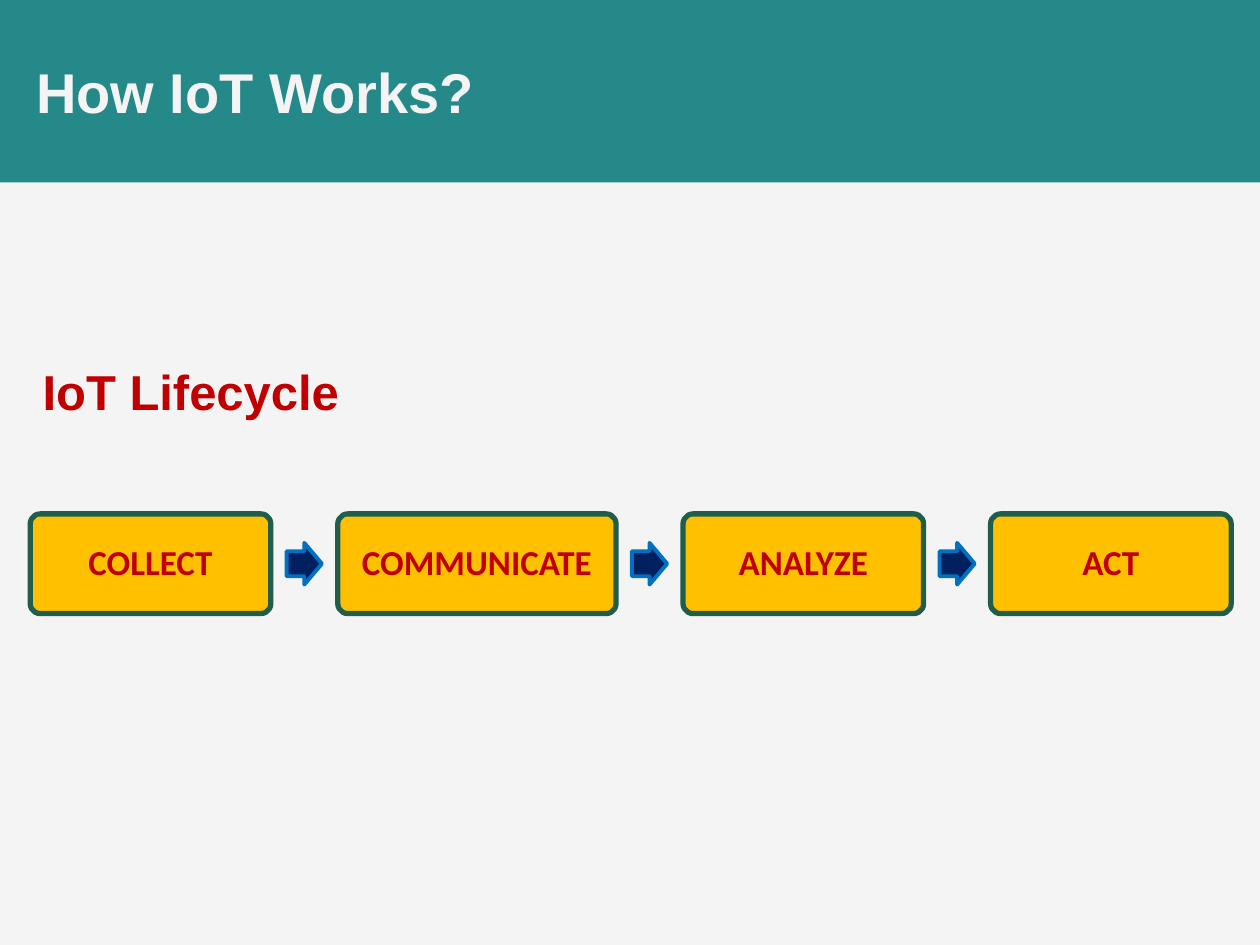
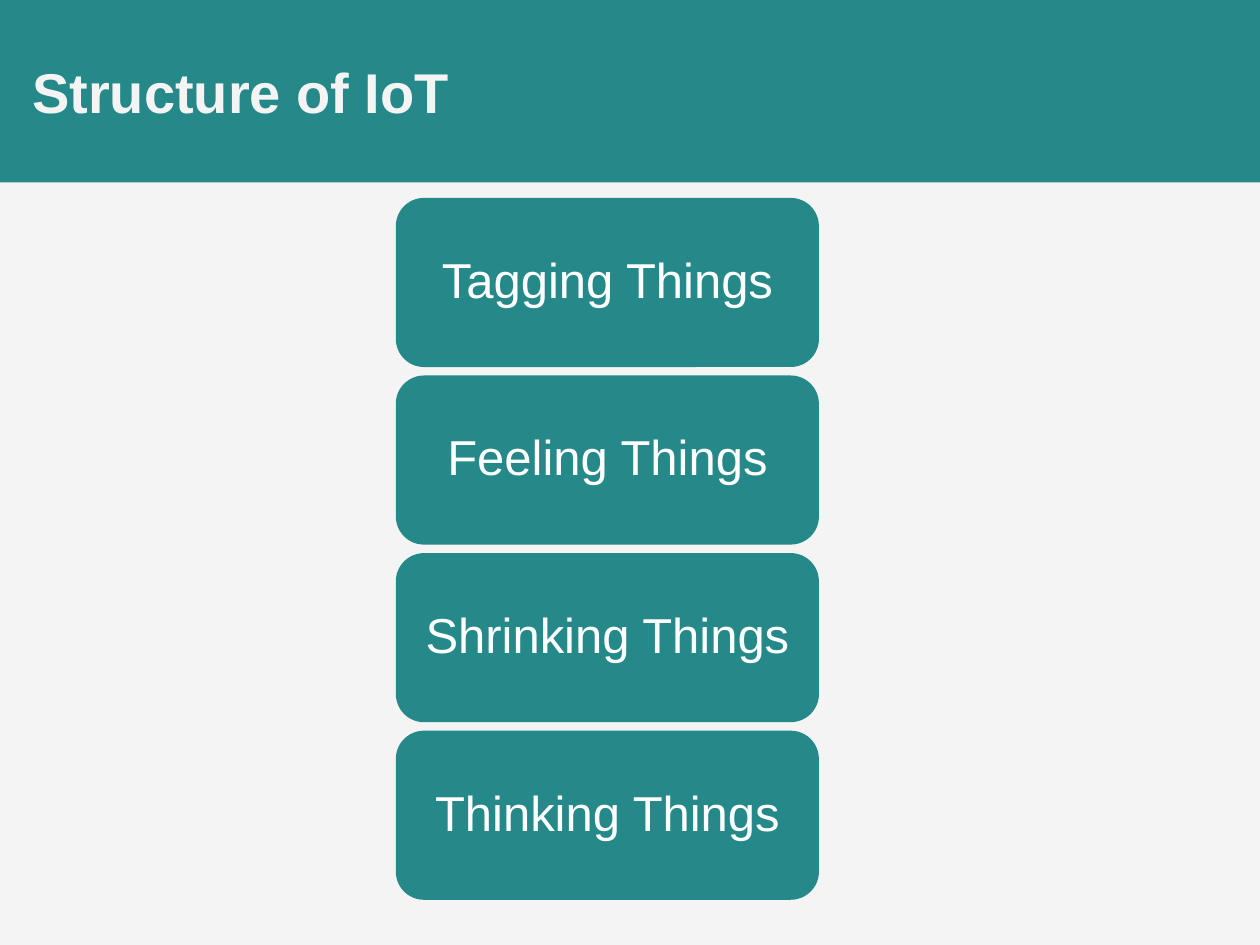
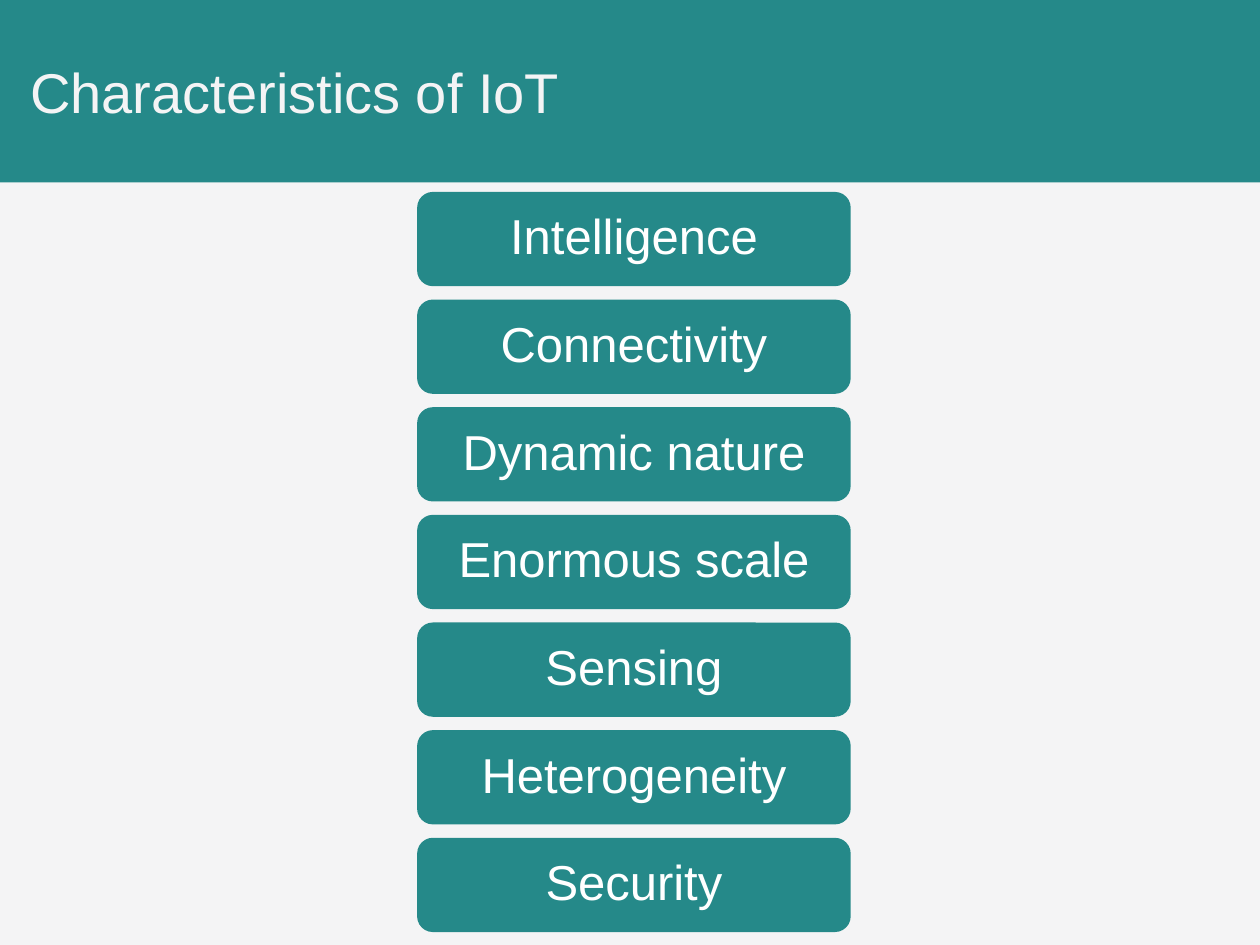
from pptx import Presentation
from pptx.dml.color import RGBColor
from pptx.enum.shapes import MSO_SHAPE
from pptx.enum.text import MSO_ANCHOR, PP_ALIGN
from pptx.util import Cm, Pt

COLORS = {
    "paper": "F4F4F5",
    "teal": "258989",
    "white": "FFFFFF",
    "red": "C00000",
    "amber": "FFC000",
    "green": "215D4B",
    "navy": "002060",
    "blue": "0070C0",
}
SLIDE_W, SLIDE_H = 25.4, 19.05
BAND_H = 3.68


def rgb(name):
    return RGBColor.from_string(COLORS[name])


def write(sp, text, size=28, color="white", font="Arial", bold=False,
          align=PP_ALIGN.CENTER, anchor=MSO_ANCHOR.MIDDLE, spacing=None,
          margin=(0.25, 0.13)):
    """Fill a shape with one formatted paragraph; margin is (sides, top and bottom)."""
    tf = sp.text_frame
    tf.word_wrap = True
    tf.vertical_anchor = anchor
    tf.margin_left = tf.margin_right = Cm(margin[0])
    tf.margin_top = tf.margin_bottom = Cm(margin[1])
    p = tf.paragraphs[0]
    p.alignment = align
    p.line_spacing = spacing
    r = p.add_run()
    r.text = text
    r.font.name = font
    r.font.size = Pt(size)
    r.font.bold = bold
    r.font.color.rgb = rgb(color)


def add_text(s, text, left, top, width, height, **fmt):
    sp = s.shapes.add_textbox(Cm(left), Cm(top), Cm(width), Cm(height))
    write(sp, text, **fmt)


def add_box(s, kind, left, top, width, height, fill, line=None, line_pt=0, adjust=()):
    sp = s.shapes.add_shape(kind, Cm(left), Cm(top), Cm(width), Cm(height))
    sp.shadow.inherit = False
    sp.fill.solid()
    sp.fill.fore_color.rgb = rgb(fill)
    if line:
        sp.line.color.rgb = rgb(line)
        sp.line.width = Pt(line_pt)
    else:
        sp.line.fill.background()
    for i, value in enumerate(adjust):
        sp.adjustments[i] = value
    return sp


def add_slide(prs, title, left, bold=True, align=PP_ALIGN.LEFT):
    """Add a slide with the teal band and its title."""
    s = prs.slides.add_slide(prs.slide_layouts[6])
    add_box(s, MSO_SHAPE.RECTANGLE, 0, 0, SLIDE_W, BAND_H, "teal")
    add_text(s, title, left, 0, 23, BAND_H, size=32, color="paper", bold=bold, align=align)
    return s


def add_process(s, steps, left, top, height, gap):
    """Draw a row of (label, width) boxes with an arrow in each gap."""
    arrow_w, arrow_h = 0.71, 0.84
    for i, (label, width) in enumerate(steps):
        if i:
            add_box(s, MSO_SHAPE.RIGHT_ARROW, left - gap + (gap - arrow_w) / 2,
                    top + (height - arrow_h) / 2, arrow_w, arrow_h,
                    "navy", "blue", 2.25, (0.6, 0.5))
        sp = add_box(s, MSO_SHAPE.ROUNDED_RECTANGLE, left, top, width, height,
                     "amber", "green", 3, (0.1,))
        write(sp, label, size=20, color="red", font="Calibri", bold=True,
              spacing=0.9, margin=(0.2, 0.2))
        left += width + gap


def add_stack(s, labels, left, top, width, height, pitch):
    """Draw a column of equal boxes, one every pitch."""
    for i, label in enumerate(labels):
        sp = add_box(s, MSO_SHAPE.ROUNDED_RECTANGLE, left, top + i * pitch,
                     width, height, "teal")
        write(sp, label, spacing=0.9)


def main():
    prs = Presentation()
    prs.slide_width, prs.slide_height = Cm(SLIDE_W), Cm(SLIDE_H)
    background = prs.slide_master.background.fill
    background.solid()
    background.fore_color.rgb = rgb("paper")

    s = add_slide(prs, "How IoT Works?", 0.48, align=PP_ALIGN.JUSTIFY)
    add_text(s, "IoT Lifecycle", 0.61, 6.32, 21.9, 3.2, color="red", bold=True,
             align=PP_ALIGN.JUSTIFY, anchor=MSO_ANCHOR.TOP, spacing=1.7)
    steps = [("COLLECT", 4.85), ("COMMUNICATE", 5.61), ("ANALYZE", 4.85), ("ACT", 4.85)]
    add_process(s, steps, left=0.61, top=10.36, height=2.01, gap=1.35)

    s = add_slide(prs, "Structure of IoT", 0.4)
    things = ["Tagging Things", "Feeling Things", "Shrinking Things", "Thinking Things"]
    add_stack(s, things, left=7.98, top=3.99, width=8.53, height=3.41, pitch=3.58)

    s = add_slide(prs, "Characteristics of IoT", 0.36, bold=False)
    traits = ["Intelligence", "Connectivity", "Dynamic nature", "Enormous scale",
              "Sensing", "Heterogeneity", "Security"]
    add_stack(s, traits, left=8.41, top=3.87, width=8.74, height=1.9, pitch=2.17)

    prs.save("out.pptx")


if __name__ == "__main__":
    main()
